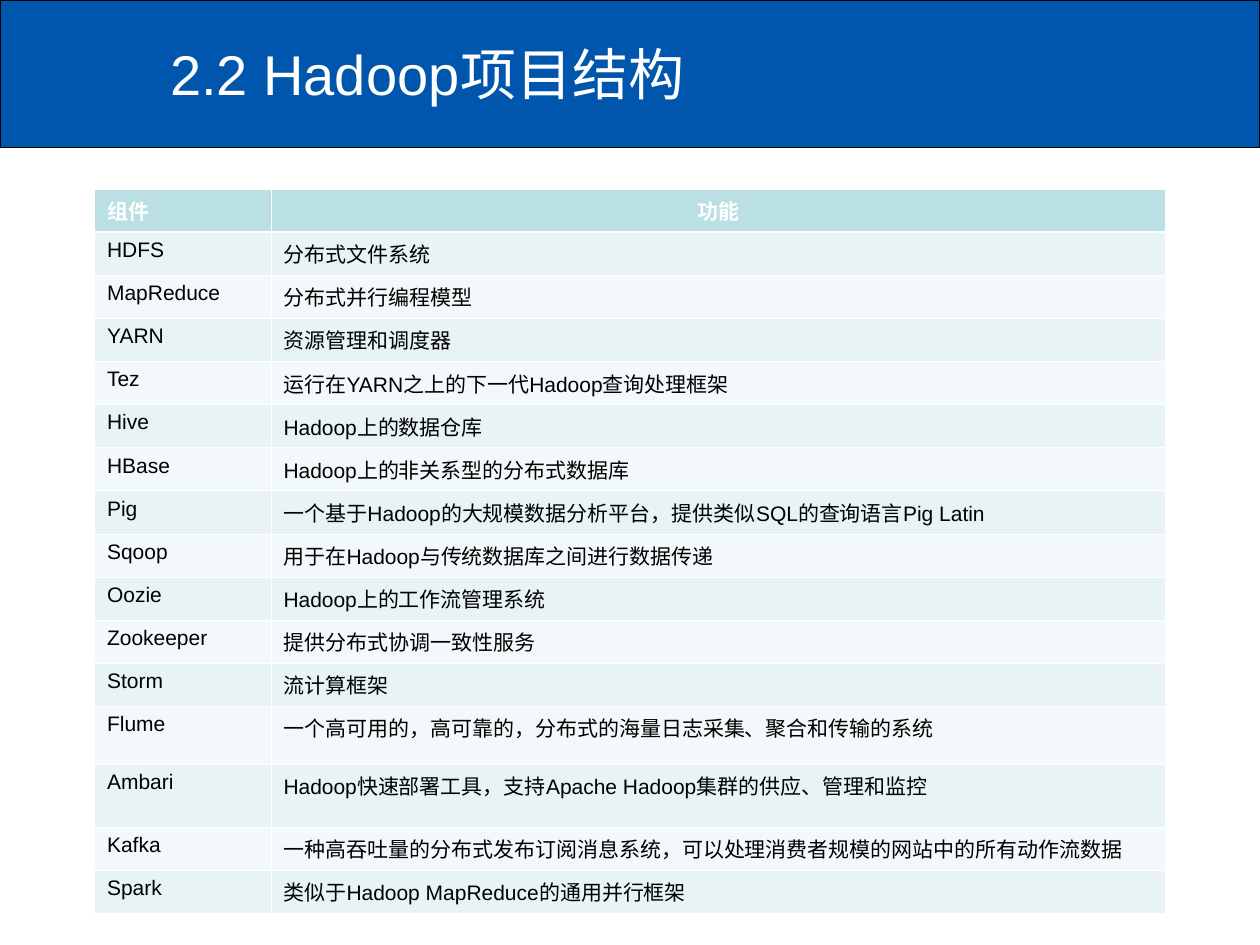
from lxml.etree import SubElement
from pptx import Presentation
from pptx.dml.color import RGBColor
from pptx.enum.shapes import MSO_SHAPE
from pptx.enum.text import MSO_ANCHOR, MSO_AUTO_SIZE, PP_ALIGN
from pptx.oxml.ns import qn
from pptx.util import Inches, Pt

# Content
TITLE = "2.2 Hadoop项目结构"
HEADER = ("组件", "功能")
COMPONENTS = [
    ("HDFS", "分布式文件系统"),
    ("MapReduce", "分布式并行编程模型"),
    ("YARN", "资源管理和调度器"),
    ("Tez", "运行在YARN之上的下一代Hadoop查询处理框架"),
    ("Hive", "Hadoop上的数据仓库"),
    ("HBase", "Hadoop上的非关系型的分布式数据库"),
    ("Pig", "一个基于Hadoop的大规模数据分析平台，提供类似SQL的查询语言Pig Latin"),
    ("Sqoop", "用于在Hadoop与传统数据库之间进行数据传递"),
    ("Oozie", "Hadoop上的工作流管理系统"),
    ("Zookeeper", "提供分布式协调一致性服务"),
    ("Storm", "流计算框架"),
    ("Flume", "一个高可用的，高可靠的，分布式的海量日志采集、聚合和传输的系统"),
    ("Ambari", "Hadoop快速部署工具，支持Apache Hadoop集群的供应、管理和监控"),
    ("Kafka", "一种高吞吐量的分布式发布订阅消息系统，可以处理消费者规模的网站中的所有动作流数据"),
    ("Spark", "类似于Hadoop MapReduce的通用并行框架"),
]
COL_WIDTHS = (1.4, 7.1)
ROW_HEIGHT = 0.3
TALL_ROWS = {"Flume": 0.46, "Ambari": 0.5}

# Style
FONT = "Arial"
BLUE = RGBColor(0x00, 0x56, 0xAC)
WHITE = RGBColor(0xFF, 0xFF, 0xFF)
BLACK = RGBColor(0x00, 0x00, 0x00)
HEAD_FILL = RGBColor(0xBB, 0xE0, 0xE3)
BANDS = (RGBColor(0xF3, 0xF9, 0xFA), RGBColor(0xE7, 0xF3, 0xF4))
THIN, THICK = 0.45, 1.47


def write(tf, text, size=12, color=BLACK, bold=False, align=PP_ALIGN.LEFT):
    p = tf.paragraphs[0]
    p.alignment = align
    r = p.add_run()
    r.text = text
    r.font.name, r.font.size, r.font.bold = FONT, Pt(size), bold
    r.font.color.rgb = color


def set_borders(cell, top=THIN, bottom=THIN):
    tc_pr = cell._tc.get_or_add_tcPr()
    widths = {"a:lnL": THIN, "a:lnR": THIN, "a:lnT": top, "a:lnB": bottom}
    for tag, width in widths.items():
        ln = SubElement(tc_pr, qn(tag), w=str(Pt(width)))
        fill = SubElement(ln, qn("a:solidFill"))
        SubElement(fill, qn("a:srgbClr"), val=str(WHITE))


prs = Presentation()
prs.slide_width, prs.slide_height = Inches(10), Inches(7.5)
s = prs.slides.add_slide(prs.slide_layouts[5])

# Title band, placed behind the title
band = s.shapes.add_shape(MSO_SHAPE.RECTANGLE, 0, 0, prs.slide_width, Inches(1.17))
band.shadow.inherit = False
band.fill.solid()
band.fill.fore_color.rgb = BLUE
band.line.color.rgb = BLACK
band.line.width = Pt(0.75)
s.shapes._spTree.insert(2, band._element)

# Title
title = s.shapes.title
title.left, title.top = Inches(1.25), Inches(0.08)
title.width, title.height = Inches(8.75), Inches(1)
tf = title.text_frame
tf.auto_size = MSO_AUTO_SIZE.NONE
tf.vertical_anchor = MSO_ANCHOR.MIDDLE
write(tf, TITLE, size=32, color=WHITE)

# Component table
rows = [HEADER] + COMPONENTS
heights = [TALL_ROWS.get(name, ROW_HEIGHT) for name, _ in rows]
table = s.shapes.add_table(len(rows), len(COL_WIDTHS), Inches(0.75), Inches(1.5),
                           Inches(sum(COL_WIDTHS)), Inches(sum(heights))).table
for col, width in zip(table.columns, COL_WIDTHS):
    col.width = Inches(width)
for i, (texts, height) in enumerate(zip(rows, heights)):
    table.rows[i].height = Inches(height)
    head = i == 0
    for j, text in enumerate(texts):
        cell = table.cell(i, j)
        set_borders(cell, top=THICK if i == 1 else THIN, bottom=THICK if head else THIN)
        cell.fill.solid()
        cell.fill.fore_color.rgb = HEAD_FILL if head else BANDS[i % 2]
        write(cell.text_frame, text, color=WHITE if head else BLACK, bold=head,
              align=PP_ALIGN.CENTER if head and j == 1 else PP_ALIGN.LEFT)

prs.save("out.pptx")
